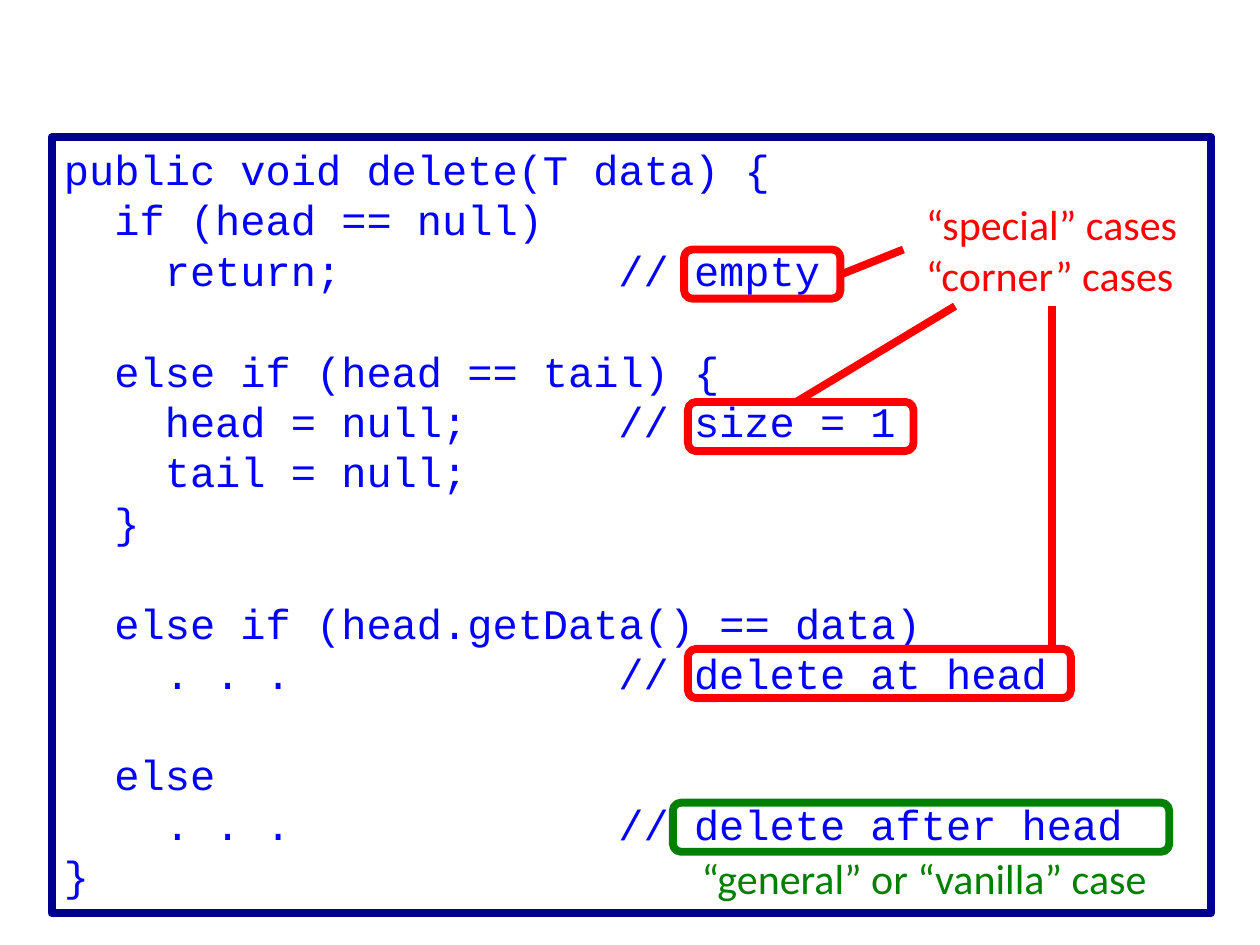
from dataclasses import dataclass

from lxml.etree import SubElement
from pptx import Presentation
from pptx.dml.color import RGBColor
from pptx.enum.shapes import MSO_CONNECTOR, MSO_SHAPE
from pptx.enum.text import MSO_ANCHOR, MSO_AUTO_SIZE, PP_ALIGN
from pptx.oxml.ns import qn
from pptx.util import Inches, Pt

COLORS = {
    "frame": "000090",
    "code": "0000FF",
    "special": "FF0000",
    "general": "008000",
}
STROKE = Pt(4.5)
LINE_HEIGHT = Pt(28.8)
COMMENT_TAB = Inches(4.4)


@dataclass
class CodeLine:
    text: str
    new_block: bool = False


@dataclass
class Outline:
    left: float
    top: float
    width: float
    height: float
    color: str
    preset: MSO_SHAPE = MSO_SHAPE.ROUNDED_RECTANGLE


@dataclass
class Pointer:
    start: tuple[float, float]
    end: tuple[float, float]


@dataclass
class Caption:
    left: float
    top: float
    width: float
    height: float
    color: str
    lines: list[str]


CODE = [
    CodeLine("public void delete(T data) {"),
    CodeLine("  if (head == null)"),
    CodeLine("    return;\t// empty"),
    CodeLine("  else if (head == tail) {", new_block=True),
    CodeLine("    head = null;\t// size = 1"),
    CodeLine("    tail = null;"),
    CodeLine("  }"),
    CodeLine("  else if (head.getData() == data)", new_block=True),
    CodeLine("    . . .\t// delete at head"),
    CodeLine("  else", new_block=True),
    CodeLine("    . . .\t// delete after head"),
    CodeLine("}"),
]
CODE_FRAME = Outline(0.41, 1.09, 9.2, 6.16, "frame", MSO_SHAPE.RECTANGLE)
CASE_MARKS = [
    Outline(5.34, 6.37, 3.94, 0.39, "general"),
    Outline(5.43, 1.98, 1.24, 0.39, "special"),
    Outline(5.46, 3.19, 1.79, 0.39, "special"),
    Outline(5.46, 5.15, 3.04, 0.39, "special"),
]
CAPTIONS = [
    Caption(5.47, 6.72, 3.8, 0.5, "general", ["“general” or “vanilla” case"]),
    Caption(7.25, 1.53, 2.23, 0.91, "special",
            ["“special” cases", "“corner” cases"]),
]
POINTERS = [
    Pointer((6.67, 2.18), (7.17, 1.98)),
    Pointer((6.32, 3.19), (7.58, 2.43)),
    Pointer((8.35, 5.15), (8.35, 2.43)),
]


def rgb(name: str) -> RGBColor:
    return RGBColor.from_string(COLORS[name])


def write_line(frame, text: str, *, first: bool, font: str, color: str,
               gap=None, tab=None) -> None:
    paragraph = frame.paragraphs[0] if first else frame.add_paragraph()
    paragraph.alignment = PP_ALIGN.LEFT
    if gap is not None:
        paragraph.space_before = gap
    if tab is not None:
        stops = SubElement(paragraph._p.get_or_add_pPr(), qn("a:tabLst"))
        SubElement(stops, qn("a:tab"), pos=str(int(tab)), algn="l")
    run = paragraph.add_run()
    run.text = text
    run.font.name = font
    run.font.size = Pt(24)
    run.font.color.rgb = rgb(color)


def draw_outline(slide, outline: Outline):
    shape = slide.shapes.add_shape(
        outline.preset, Inches(outline.left), Inches(outline.top),
        Inches(outline.width), Inches(outline.height))
    shape.shadow.inherit = False
    shape.fill.background()
    shape.line.color.rgb = rgb(outline.color)
    shape.line.width = STROKE
    return shape


def draw_code(slide) -> None:
    frame = draw_outline(slide, CODE_FRAME).text_frame
    frame.word_wrap = True
    frame.vertical_anchor = MSO_ANCHOR.TOP
    frame.auto_size = MSO_AUTO_SIZE.SHAPE_TO_FIT_TEXT
    for index, line in enumerate(CODE):
        write_line(frame, line.text, first=index == 0,
                   font="Courier New", color="code",
                   gap=LINE_HEIGHT if line.new_block else None,
                   tab=COMMENT_TAB if "\t" in line.text else None)


def draw_caption(slide, caption: Caption) -> None:
    frame = slide.shapes.add_textbox(
        Inches(caption.left), Inches(caption.top),
        Inches(caption.width), Inches(caption.height)).text_frame
    frame.word_wrap = False
    frame.auto_size = MSO_AUTO_SIZE.SHAPE_TO_FIT_TEXT
    for index, text in enumerate(caption.lines):
        write_line(frame, text, first=index == 0,
                   font="Calibri", color=caption.color)


def draw_pointer(slide, pointer: Pointer) -> None:
    connector = slide.shapes.add_connector(
        MSO_CONNECTOR.STRAIGHT,
        *map(Inches, pointer.start), *map(Inches, pointer.end))
    connector.line.color.rgb = rgb("special")
    connector.line.width = STROKE
    SubElement(connector._element.spPr, qn("a:effectLst"))


def main() -> None:
    presentation = Presentation()
    presentation.slide_width = Inches(10)
    presentation.slide_height = Inches(7.5)
    slide = presentation.slides.add_slide(presentation.slide_layouts[6])
    draw_code(slide)
    for mark in CASE_MARKS:
        draw_outline(slide, mark)
    for caption in CAPTIONS:
        draw_caption(slide, caption)
    for pointer in POINTERS:
        draw_pointer(slide, pointer)
    presentation.save("out.pptx")


if __name__ == "__main__":
    main()
